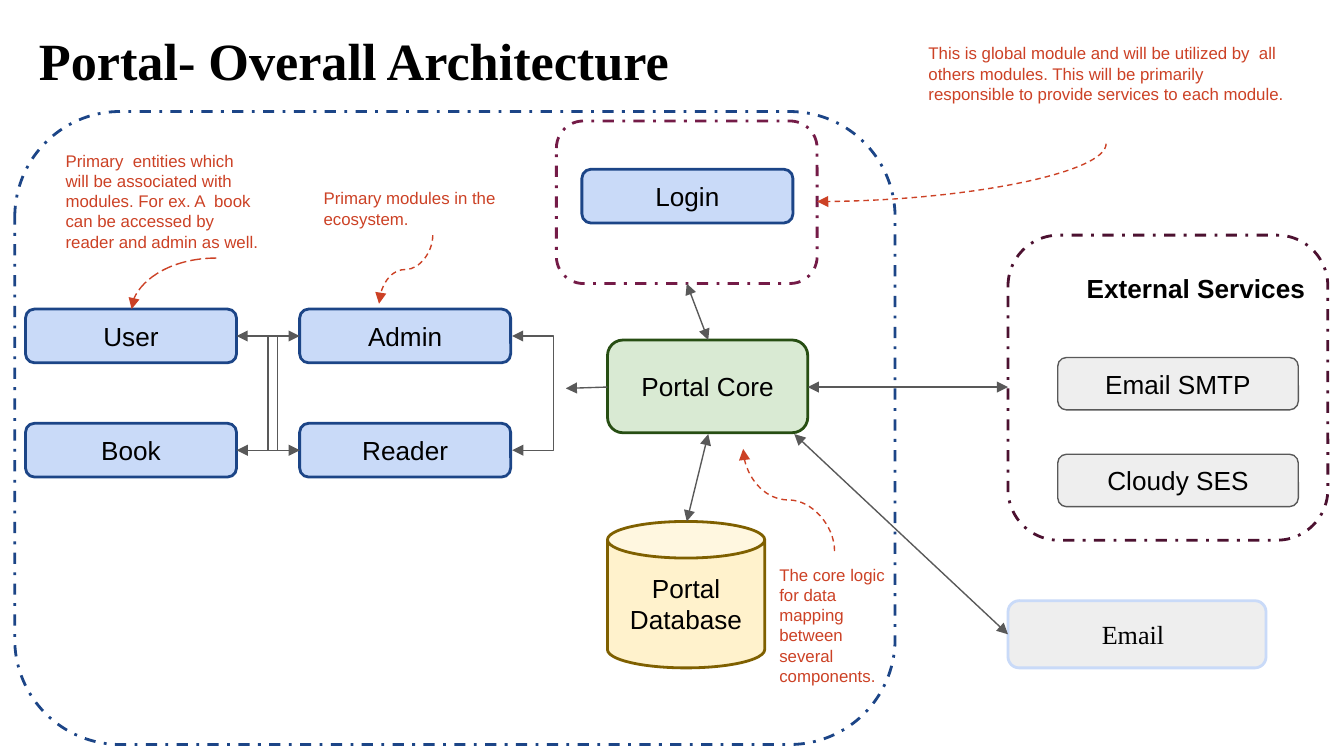
"""Build the portal architecture slide."""
from lxml import etree
from pptx import Presentation
from pptx.dml.color import RGBColor
from pptx.enum.dml import MSO_LINE
from pptx.enum.shapes import MSO_CONNECTOR, MSO_SHAPE
from pptx.enum.text import MSO_ANCHOR, PP_ALIGN
from pptx.oxml.ns import qn
from pptx.util import Inches, Pt

ROUND, CAN = MSO_SHAPE.ROUNDED_RECTANGLE, MSO_SHAPE.CAN
STRAIGHT, ELBOW, CURVE = MSO_CONNECTOR.STRAIGHT, MSO_CONNECTOR.ELBOW, MSO_CONNECTOR.CURVE
DASH, LONG_DASH, DASH_DOT = MSO_LINE.DASH, MSO_LINE.LONG_DASH, MSO_LINE.DASH_DOT
LEFT, CENTER, RIGHT = PP_ALIGN.LEFT, PP_ALIGN.CENTER, PP_ALIGN.RIGHT
TOP, MIDDLE = MSO_ANCHOR.TOP, MSO_ANCHOR.MIDDLE

SLIDE_WIDTH = Inches(10)
SLIDE_HEIGHT = SLIDE_WIDTH * 9 // 16
SANS, SERIF = "Arial", "Times New Roman"
BLACK, GRAY, RED = "000000", "595959", "CC4125"
MODULE_COLUMNS, MODULE_ROWS = (0.19, 2.23), (2.3, 3.15)
MODULE_SIZE, SERVICE_SIZE = (1.57, 0.4), (1.79, 0.39)
SERVICE_LEFT, SERVICE_TOP, SERVICE_PITCH = 7.87, 2.66, 0.72
SPAN = 0.001

TITLE = "Portal- Overall Architecture"
MODULES = [("User", "Admin"), ("Book", "Reader")]
SERVICES = ["Email SMTP", "Cloudy SES"]
STYLES = {
    "module": ("C9DAF8", "1C4587", 1.5),
    "service": ("EEEEEE", GRAY, 0.75),
    "mail": ("EEEEEE", "C9DAF8", 1.5),
    "core": ("D9EAD3", "274E13", 1.5),
    "database": ("FFF2CC", "7F6000", 1.5),
}
FRAMES = [
    ((7.5, 1.75, 2.38, 2.27), "4C1130"),
    ((0.11, 0.83, 6.55, 4.71), "1C4587"),
    ((4.14, 0.9, 1.94, 1.21), "741B47"),
]
BOXES = [
    ("Portal Database", (4.52, 3.88, 1.17, 1.09), "database", CAN),
    ("Portal Core", (4.52, 2.53, 1.49, 0.69), "core", ROUND),
    ("Login", (4.33, 1.26, *MODULE_SIZE), "module", ROUND),
    ("", (7.5, 4.47, 1.92, 0.5), "mail", ROUND),
]
NOTES = [
    ("The core logic for data mapping between several components.", (5.7, 4.1, 1.02, 1.23)),
    ("Primary modules in the ecosystem.", (2.31, 1.3, 1.74, 0.4)),
    ("Primary  entities which will be associated with modules. For ex. A  book "
     "can be accessed by  reader and admin as well.", (0.39, 1.02, 1.64, 1.09)),
    ("This is global module and will be utilized by  all others modules. This will be "
     "primarily responsible to provide services to each module.", (6.81, 0.22, 2.85, 0.85)),
]
LABELS = [
    ("External Services", (7.87, 1.93, 1.94, 0.4), RIGHT, {"name": SANS, "bold": True}),
    ("Email ", (7.64, 4.51, 1.63, 0.19), CENTER, {"name": SERIF}),
]
LINKS = [
    ((5.27, 3.23), (5.11, 3.88), True),
    ((6.01, 2.88), (7.5, 2.88), True),
    ((4.52, 2.88), (4.21, 2.89), False),
    ((5.11, 2.11), (5.27, 2.53), True),
    ((5.91, 3.23), (7.5, 4.72), True),
]
BRACKETS = [(3.81, 0.26), (1.76, 0.26), (2.23, -0.2)]
CURVES = [
    ((6.21, 4.1), (5.53, 3.34), "curvedConnector3", True, DASH),
    ((3.22, 1.75), (2.82, 2.26), "curvedConnector3", True, DASH),
    ((1.61, 1.92), (0.98, 2.3), "curvedConnector2", False, LONG_DASH),
    ((8.23, 1.07), (6.08, 1.5), "curvedConnector2", True, DASH),
]


def color(value):
    """Return the colour for a hex string."""
    return RGBColor.from_string(value)


def write(shape, text, align, anchor, font, fill=BLACK):
    """Write one formatted paragraph in a shape."""
    frame = shape.text_frame
    settings = {"word_wrap": True, "vertical_anchor": anchor}
    settings.update({f"margin_{side}": Inches(0.1) for side in ("left", "right", "top", "bottom")})
    for name, value in settings.items():
        setattr(frame, name, value)
    paragraph = frame.paragraphs[0]
    paragraph.text = text
    paragraph.alignment = align
    for name, value in font.items():
        setattr(paragraph.font, name, value)
    paragraph.font.color.rgb = color(fill)


def set_line(line, stroke, width, dash=None):
    """Format an outline or a connector line."""
    line.color.rgb = color(stroke)
    line.width = Pt(width)
    if dash:
        line.dash_style = dash


def add_box(slide, text, place, style, kind=ROUND, dash=None):
    """Add a filled shape with an optional centred label."""
    fill, stroke, width = style
    shape = slide.shapes.add_shape(kind, *map(Inches, place))
    shape.shadow.inherit = False
    shape.fill.solid()
    shape.fill.fore_color.rgb = color(fill)
    set_line(shape.line, stroke, width, dash)
    if text:
        write(shape, text, CENTER, MIDDLE, {"name": SANS, "size": Pt(14)})


def add_text(slide, text, place, align, font, fill=BLACK):
    """Add a text box."""
    write(slide.shapes.add_textbox(*map(Inches, place)), text, align, TOP, font, fill)


def add_arrow(slide, kind, start, end, stroke, both, dash=None):
    """Add a connector with an arrowhead at one or both ends."""
    connector = slide.shapes.add_connector(kind, *map(Inches, (*start, *end)))
    set_line(connector.line, stroke, 0.75, dash)
    line = connector.line._get_or_add_ln()
    for tag in ("a:headEnd", "a:tailEnd") if both else ("a:tailEnd",):
        etree.SubElement(line, qn(tag), type="triangle")
    properties = connector._element.spPr
    etree.SubElement(properties, qn("a:effectLst"))
    return properties


def add_bracket(slide, left, offset):
    """Add an elbow joining both module rows beside a column edge."""
    first, last = (row + MODULE_SIZE[1] / 2 for row in MODULE_ROWS)
    properties = add_arrow(slide, ELBOW, (left, first), (left + SPAN, last), GRAY, True)
    adjustments = properties.find(qn("a:prstGeom")).find(qn("a:avLst"))
    bend = round(offset / SPAN * 100000)
    etree.SubElement(adjustments, qn("a:gd"), name="adj1", fmla=f"val {bend}")


def add_curve(slide, start, end, preset, upright, dash):
    """Add a curved arrow, turned a quarter when it leaves vertically."""
    if upright:
        middle_x, middle_y = ((a + b) / 2 for a, b in zip(start, end))
        half_x, half_y = ((b - a) / 2 for a, b in zip(start, end))
        start = (middle_x - half_y, middle_y + half_x)
        end = (middle_x + half_y, middle_y - half_x)
    properties = add_arrow(slide, CURVE, start, end, RED, False, dash)
    properties.find(qn("a:prstGeom")).set("prst", preset)
    if upright:
        properties.find(qn("a:xfrm")).set("rot", "5400000")


def main():
    """Create and save the presentation."""
    presentation = Presentation()
    presentation.slide_width, presentation.slide_height = SLIDE_WIDTH, SLIDE_HEIGHT
    slide = presentation.slides.add_slide(presentation.slide_layouts[5])
    title = slide.shapes.title
    title.left, title.top, title.width, title.height = map(Inches, (0.19, 0.11, 9.32, 0.63))
    write(title, TITLE, LEFT, TOP, {"name": SERIF, "size": Pt(28), "bold": True})

    for place, stroke in FRAMES:
        add_box(slide, "", place, ("FFFFFF", stroke, 1.5), dash=DASH_DOT)
    for text, place, style, kind in BOXES:
        add_box(slide, text, place, STYLES[style], kind)
    for top, names in zip(MODULE_ROWS, MODULES):
        for left, name in zip(MODULE_COLUMNS, names):
            add_box(slide, name, (left, top, *MODULE_SIZE), STYLES["module"])
    for index, name in enumerate(SERVICES):
        top = SERVICE_TOP + index * SERVICE_PITCH
        add_box(slide, name, (SERVICE_LEFT, top, *SERVICE_SIZE), STYLES["service"])
    for start, end, both in LINKS:
        add_arrow(slide, STRAIGHT, start, end, GRAY, both)
    for left, offset in BRACKETS:
        add_bracket(slide, left, offset)
    for curve in CURVES:
        add_curve(slide, *curve)
    for text, place in NOTES:
        add_text(slide, text, place, LEFT, {"name": SANS, "size": Pt(9)}, RED)
    for text, place, align, font in LABELS:
        add_text(slide, text, place, align, {"size": Pt(14), **font})
    presentation.save("out.pptx")


if __name__ == "__main__":
    main()
